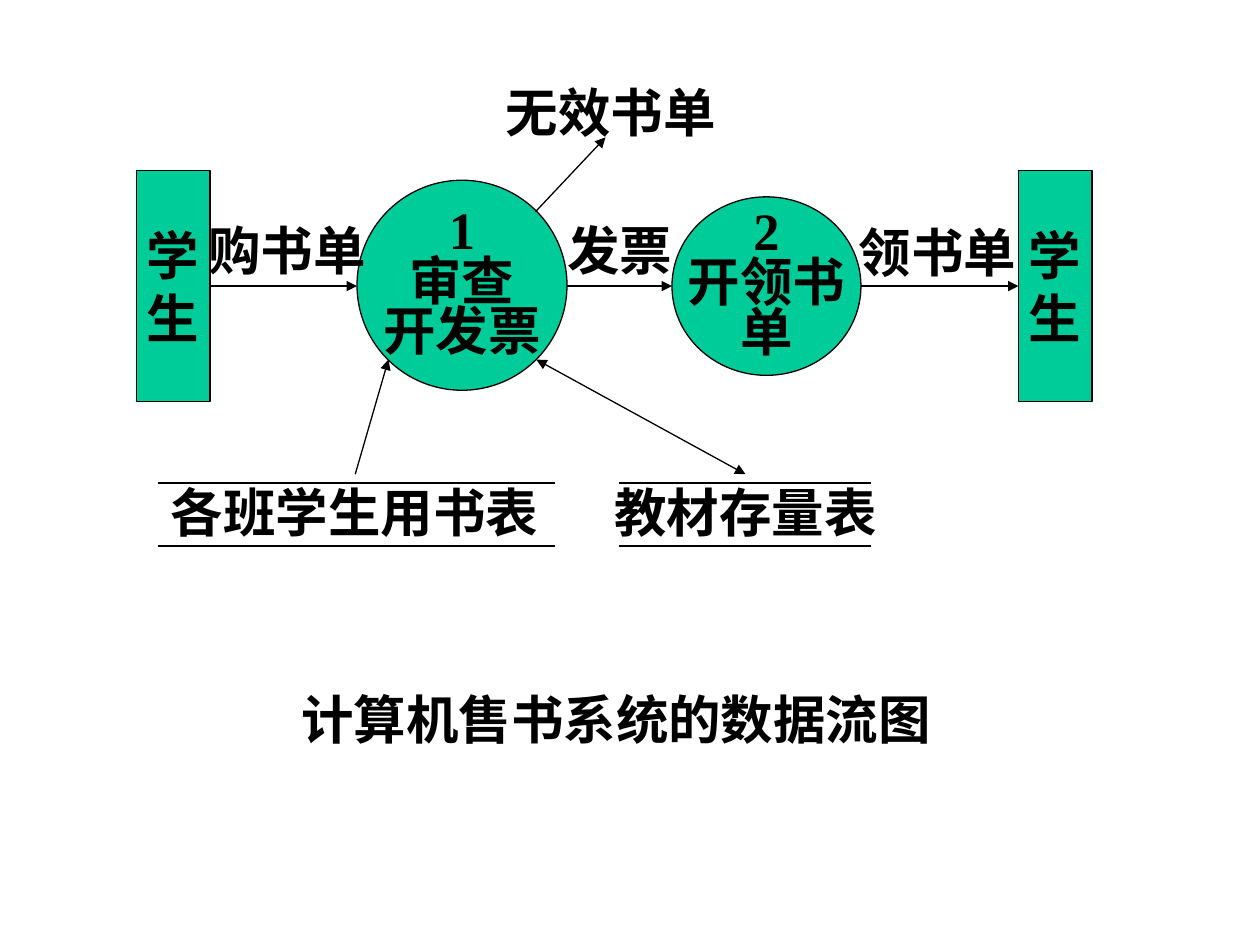
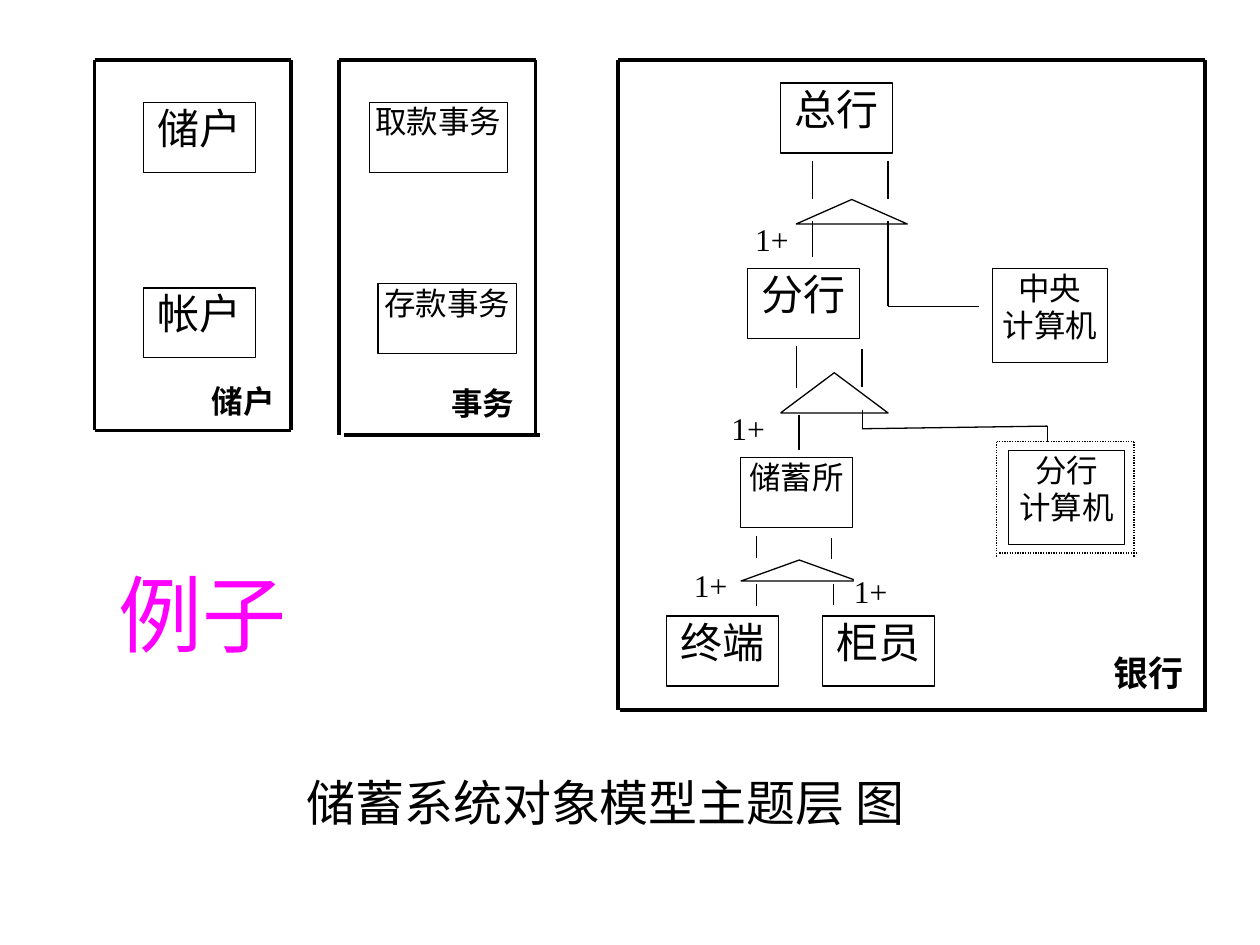
from lxml import etree
from pptx import Presentation
from pptx.dml.color import RGBColor
from pptx.enum.dml import MSO_LINE
from pptx.enum.shapes import MSO_CONNECTOR, MSO_SHAPE as SHAPE
from pptx.enum.text import MSO_ANCHOR as ANCHOR, MSO_AUTO_SIZE, PP_ALIGN as ALIGN
from pptx.oxml.ns import qn
from pptx.util import Pt

BLACK = RGBColor(0, 0, 0)
WHITE = RGBColor(255, 255, 255)
GREEN = RGBColor(0, 204, 153)
MAGENTA = RGBColor(255, 0, 255)
SERIF, SANS = "Times New Roman", "Arial"
THIN, THICK = 0.75, 2.25
FLOW_SIZE = 30


def write(tf, text, size, font=SERIF, bold=False, color=BLACK,
          align=ALIGN.CENTER, spacing=None):
    """Put each line of text in its own paragraph."""
    for i, line_text in enumerate(text.split("\n")):
        p = tf.add_paragraph() if i else tf.paragraphs[0]
        p.text = line_text
        p.alignment = align
        p.line_spacing = spacing
        p.font.name, p.font.size, p.font.bold = font, Pt(size), bold
        p.font.color.rgb = color


def shape(s, kind, x, y, w, h, fill=None, outlined=True):
    sp = s.shapes.add_shape(kind, Pt(x), Pt(y), Pt(w), Pt(h))
    sp.shadow.inherit = False
    if fill is None:
        sp.fill.background()
    else:
        sp.fill.solid()
        sp.fill.fore_color.rgb = fill
    if outlined:
        sp.line.color.rgb = BLACK
        sp.line.width = Pt(THIN)
    else:
        sp.line.fill.background()
    return sp


def line(s, x1, y1, x2, y2, width=THIN, heads=(), dash=None):
    """Draw a straight line; heads names its arrow ends (headEnd, tailEnd)."""
    c = s.shapes.add_connector(MSO_CONNECTOR.STRAIGHT,
                               Pt(x1), Pt(y1), Pt(x2), Pt(y2))
    c.line.color.rgb = BLACK
    c.line.width = Pt(width)
    if dash:
        c.line.dash_style = dash
    ln = c.line._get_or_add_ln()
    for head in heads:
        etree.SubElement(ln, qn("a:" + head), type="triangle")
    etree.SubElement(c._element.spPr, qn("a:effectLst"))
    return c


def arrow(s, x1, y1, x2, y2, both=False):
    heads = ("headEnd", "tailEnd") if both else ("tailEnd",)
    return line(s, x1, y1, x2, y2, heads=heads)


def flow_node(s, kind, text, x, y, w, h, spacing=None):
    sp = shape(s, kind, x, y, w, h, GREEN)
    tf = sp.text_frame
    tf.word_wrap = False
    tf.vertical_anchor = ANCHOR.MIDDLE
    write(tf, text, FLOW_SIZE, bold=True, spacing=spacing)
    return sp


def flow_label(s, text, x, y):
    """One-line label, as wide as its full-width characters and margins."""
    width = FLOW_SIZE * len(text) + 16
    tf = s.shapes.add_textbox(Pt(x), Pt(y), Pt(width), Pt(43)).text_frame
    tf.word_wrap = False
    tf.auto_size = MSO_AUTO_SIZE.SHAPE_TO_FIT_TEXT
    write(tf, text, FLOW_SIZE, SANS, bold=True, align=ALIGN.LEFT)


def data_store(s, text, left, right, text_x):
    for y in (276, 312):
        line(s, left, y, right, y)
    flow_label(s, text, text_x, 271)


def plain_box(s, text, x, y, w, h, size, outlined=True, **style):
    """White rectangle with text set at its top, without margins."""
    tf = shape(s, SHAPE.RECTANGLE, x, y, w, h, WHITE, outlined).text_frame
    tf.word_wrap = True
    tf.vertical_anchor = ANCHOR.TOP
    tf.margin_left = tf.margin_right = tf.margin_top = tf.margin_bottom = 0
    write(tf, text, size, **style)


def frame(s, left, top, right, bottom, slip=0, drop=0, **style):
    """Four lines; the bottom one slips right, the sides drop below it."""
    for x in (left, right):
        line(s, x, top, x, bottom + drop, **style)
    line(s, left, top, right, top, **style)
    line(s, left + slip, bottom, right + slip, bottom, **style)


def data_flow_slide(s):
    mid = 163.5
    buyer, receiver = [flow_node(s, SHAPE.RECTANGLE, "学\n生", x, 97.5, 42, 132)
                       for x in (78, 582)]
    flow_node(s, SHAPE.OVAL, "1\n审查\n开发票", 204, 103, 120, 120, 0.8)
    flow_node(s, SHAPE.OVAL, "2\n开领书\n单", 384, 112.5, 108, 102, 0.8)

    for text, x, y in (("购书单", 112, 121), ("发票", 317, 121),
                       ("领书单", 483.5, 122), ("无效书单", 282, 42),
                       ("计算机售书系统的数据流图", 165, 389)):
        flow_label(s, text, x, y)

    arrow(s, 120, mid, 204, mid).begin_connect(buyer, 3)
    arrow(s, 324, mid, 384, mid)
    arrow(s, 492, mid, 582, mid).end_connect(receiver, 1)
    arrow(s, 306, 121, 346, 78.5)
    data_store(s, "各班学生用书表", 90, 317, 90.5)
    data_store(s, "教材存量表", 354, 498, 344)
    arrow(s, 203, 271, 222, 205.5)
    arrow(s, 306.5, 205.5, 426, 271, both=True)


def object_model_slide(s):
    frame(s, 54, 34.5, 166.5, 246, width=THICK)
    frame(s, 194, 34.5, 306, 248.5, slip=2.5, width=THICK)
    frame(s, 353, 34.5, 688.5, 405.5, slip=1.5, width=THICK)
    frame(s, 569.5, 252.5, 648, 316, slip=1.5, drop=2.5,
          dash=MSO_LINE.ROUND_DOT)

    for text, x, y in (("储户", 82, 58.5), ("帐户", 82, 164.5),
                       ("总行", 446, 47.5), ("分行", 427, 153.5),
                       ("终端", 381, 352), ("柜员", 470, 352)):
        plain_box(s, text, x, y, 64, 40, 24)
    for text, x, y, w, h in (("取款事务", 211, 58.5, 79, 40),
                             ("存款事务", 216, 162, 79, 40),
                             ("储蓄所", 423, 261.5, 64, 40),
                             ("中央\n计算机", 567, 153.5, 66, 53.5),
                             ("分行\n计算机", 576.5, 257.5, 66, 53.5)):
        plain_box(s, text, x, y, w, h, 18)

    # Whole-part triangles
    for x, y, w, h in ((455, 114, 63.5, 14), (446, 213, 61.5, 23),
                       (423.5, 320, 66.5, 12)):
        shape(s, SHAPE.ISOSCELES_TRIANGLE, x, y, w, h)

    for x, top, bottom in ((464.5, 92, 114), (464.5, 126.5, 147),
                           (507.5, 92, 114), (507.5, 126.5, 175),
                           (455, 197.5, 222), (492.5, 199.5, 221),
                           (456.5, 237, 257), (493, 234, 245),
                           (598.5, 243.5, 252.5),
                           (432.5, 306, 319), (432.5, 334, 346.5),
                           (475, 307.5, 319.5), (476.5, 333.5, 345.5)):
        line(s, x, top, x, bottom)
    line(s, 507.5, 175, 559.5, 175)
    line(s, 492.5, 245, 598.5, 243.5)

    for text, x, y, w, h, size in (("储户", 121, 218, 42, 24, 18),
                                   ("事务", 258, 219.5, 44, 26.5, 18),
                                   ("银行", 636.5, 372, 41, 26.5, 20)):
        plain_box(s, text, x, y, w, h, size, False, bold=True,
                  align=ALIGN.JUSTIFY)
    for x, y, w in ((396.5, 323.5, 22), (431.5, 126, 20),
                    (418, 233.5, 28), (488, 327, 20)):
        plain_box(s, "1+", x, y, w, 19.5, 18, False, align=ALIGN.JUSTIFY)

    caption = shape(s, SHAPE.RECTANGLE, 161.5, 438, 369, 33, WHITE, False)
    caption.text_frame.vertical_anchor = ANCHOR.TOP
    write(caption.text_frame, "储蓄系统对象模型主题层 图", 28)

    title = s.shapes.add_textbox(Pt(36.5), Pt(327), Pt(158.5), Pt(46))
    title.text_frame.word_wrap = True
    title.text_frame.vertical_anchor = ANCHOR.MIDDLE
    write(title.text_frame, "例子", 48, color=MAGENTA)


def main():
    prs = Presentation()
    prs.slide_width, prs.slide_height = Pt(720), Pt(540)
    for build in (data_flow_slide, object_model_slide):
        build(prs.slides.add_slide(prs.slide_layouts[6]))
    prs.save("out.pptx")


if __name__ == "__main__":
    main()
